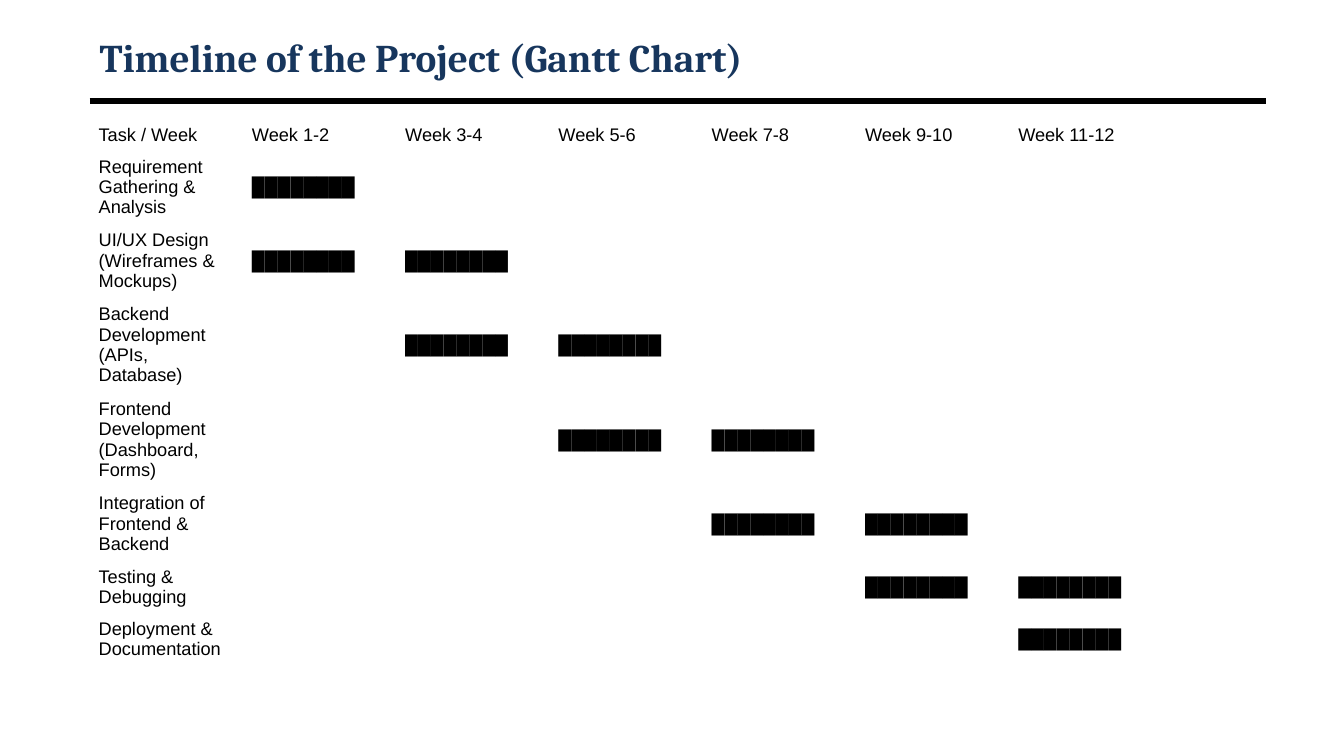
from dataclasses import dataclass

from lxml import etree
from pptx import Presentation
from pptx.dml.color import RGBColor
from pptx.enum.shapes import MSO_CONNECTOR
from pptx.enum.text import MSO_ANCHOR, PP_ALIGN
from pptx.oxml.ns import qn
from pptx.slide import Slide
from pptx.text.text import TextFrame
from pptx.util import Pt

STRAIGHT = MSO_CONNECTOR.STRAIGHT
MIDDLE = MSO_ANCHOR.MIDDLE
LEFT = PP_ALIGN.LEFT
BLACK = RGBColor(0x00, 0x00, 0x00)
NAVY = RGBColor(0x17, 0x36, 0x5D)

EDGE = 64
WIDTH = 840
COLUMN = 109.5
BAR = "█" * 8
HEADS = ["Task / Week"] + [f"Week {n}-{n + 1}" for n in range(1, 12, 2)]
HEAD_HIGH = 21.6


@dataclass(frozen=True)
class Task:
    name: str
    first: int
    last: int
    high: float


TASKS = [
    Task("Requirement Gathering & Analysis", 1, 1, 52.6),
    Task("UI/UX Design (Wireframes & Mockups)", 1, 2, 52.6),
    Task("Backend Development (APIs, Database)", 2, 3, 67.7),
    Task("Frontend Development (Dashboard, Forms)", 3, 4, 67.7),
    Task("Integration of Frontend & Backend", 4, 5, 52.6),
    Task("Testing & Debugging", 5, 6, 37.4),
    Task("Deployment & Documentation", 6, 6, 37.4),
]


def write(frame: TextFrame, text: str, *, size: float = 13, font: str = "Arial",
          color: RGBColor = BLACK, bold: bool = False) -> None:
    line = frame.paragraphs[0]
    line.alignment = LEFT
    run = line.add_run()
    run.text = text
    run.font.size = Pt(size)
    run.font.name = font
    run.font.bold = bold
    run.font.color.rgb = color


def add_title(slide: Slide) -> None:
    title = slide.shapes.title
    title.left, title.top = Pt(EDGE), Pt(21.6)
    title.width, title.height = Pt(WIDTH), Pt(38.4)
    frame = title.text_frame
    frame.vertical_anchor = MIDDLE
    frame.word_wrap = True
    frame.margin_left = frame.margin_right = Pt(7.2)
    frame.margin_top = frame.margin_bottom = Pt(3.6)
    write(frame, "Timeline of the Project (Gantt Chart)",
          size=28, font="Cambria", color=NAVY, bold=True)


def add_rule(slide: Slide) -> None:
    rule = slide.shapes.add_connector(
        STRAIGHT, Pt(EDGE), Pt(72), Pt(EDGE + WIDTH), Pt(72))
    rule.line.color.rgb = BLACK
    rule.line.width = Pt(4.5)
    etree.SubElement(rule._element.spPr, qn("a:effectLst"))


def add_gantt(slide: Slide) -> None:
    highs = [HEAD_HIGH] + [task.high for task in TASKS]
    rows = [HEADS] + [
        [task.name] + [BAR if task.first <= slot <= task.last else ""
                       for slot in range(1, len(HEADS))]
        for task in TASKS
    ]
    table = slide.shapes.add_table(
        len(rows), len(HEADS), Pt(EDGE), Pt(85.7),
        Pt(COLUMN * len(HEADS)), Pt(sum(highs))).table
    table.first_row = False
    table.horz_banding = False
    for column in table.columns:
        column.width = Pt(COLUMN)
    for row, high, texts in zip(table.rows, highs, rows):
        row.height = Pt(high)
        for cell, text in zip(row.cells, texts):
            cell.fill.background()
            cell.vertical_anchor = MIDDLE
            cell.margin_left = cell.margin_right = Pt(6.5)
            cell.margin_top = cell.margin_bottom = Pt(3.6)
            if text:
                write(cell.text_frame, text)


def main() -> None:
    deck = Presentation()
    deck.slide_width, deck.slide_height = Pt(960), Pt(540)
    slide = deck.slides.add_slide(deck.slide_layouts[5])
    add_rule(slide)
    add_title(slide)
    add_gantt(slide)
    deck.save("out.pptx")


if __name__ == "__main__":
    main()
